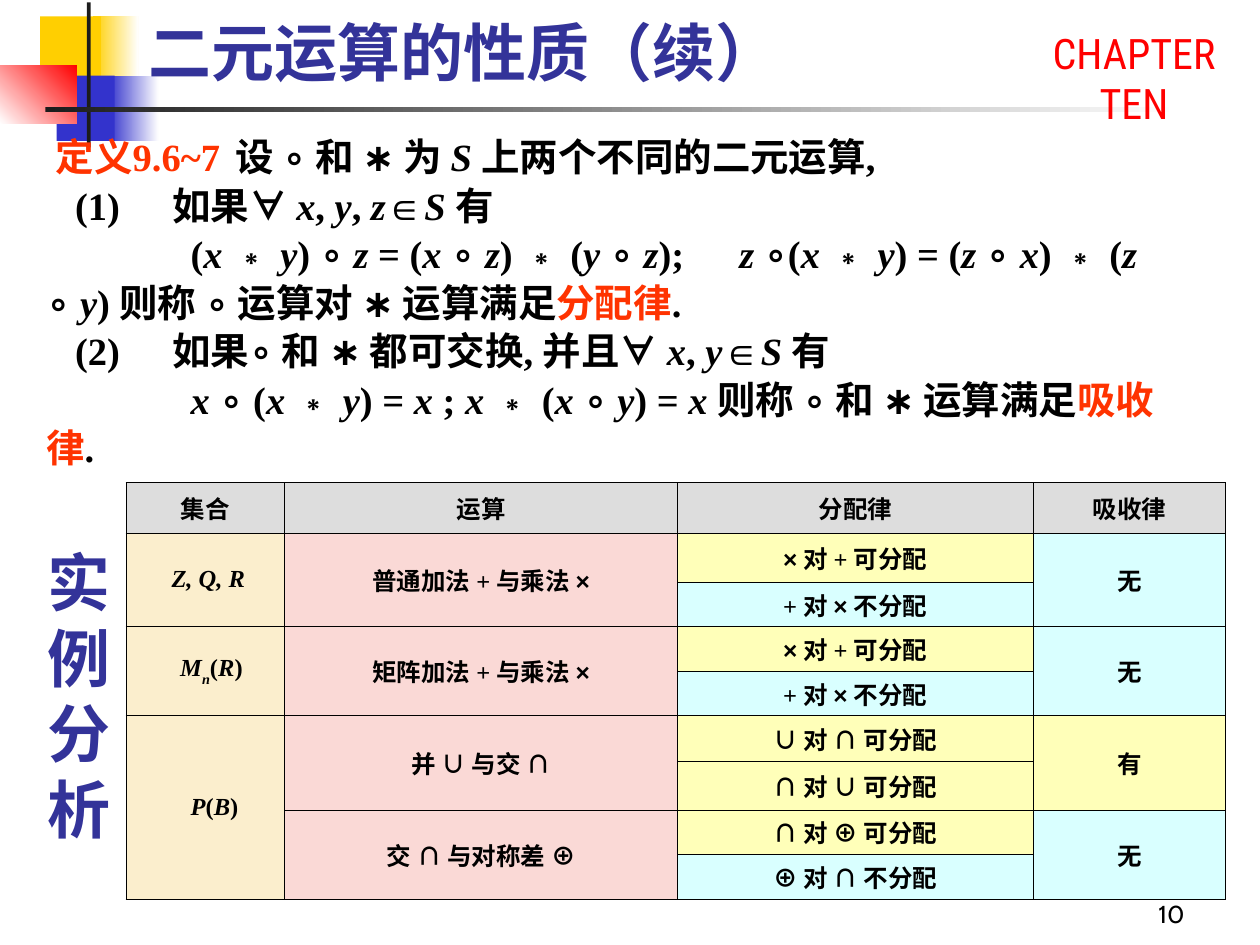
from dataclasses import dataclass
from itertools import groupby
from typing import Iterator, NamedTuple

import pptx
import pptx.dml.color
import pptx.enum.shapes
import pptx.enum.text
import pptx.oxml
import pptx.oxml.ns
import pptx.util

Pt = pptx.util.Pt
Align = pptx.enum.text.PP_ALIGN
Anchor = pptx.enum.text.MSO_ANCHOR
NS = pptx.oxml.ns.nsdecls("a")


@dataclass(frozen=True)
class Theme:
    black: str = "000000"
    white: str = "FFFFFF"
    dark: str = "1C1C1C"
    gold: str = "FFCF01"
    blue: str = "3333CC"
    red: str = "FF0000"
    title: str = "333399"
    term: str = "FF3300"
    head: str = "DDDDDD"
    sand: str = "FBEECD"
    pink: str = "FAD9D6"
    yes: str = "FFFFB9"
    no: str = "D9FFFF"
    serif: str = "Times New Roman"
    symbol: str = "Arial"
    display: str = "Montserrat"
    big: float = 36
    label: float = 24
    body: float = 22
    small: float = 14


T = Theme()


class Box(NamedTuple):
    left: float
    top: float
    width: float
    height: float


class Block(NamedTuple):
    box: Box
    start: str
    end: str = ""
    angle: float = 0


class Line(NamedTuple):
    text: str
    indent: float
    tab: float = 0


class Entry(NamedTuple):
    row: int
    col: int
    text: str
    fill: str
    span: int = 1
    shift: float = 0


class Style(NamedTuple):
    italic: bool
    term: bool
    sub: bool
    symbol: bool


BLOCKS = [
    Block(Box(53.3, 9.4, 25.9, 37.4), T.gold, T.white),
    Block(Box(61.9, 43.2, 28.8, 37.4), T.blue, T.white),
    Block(Box(23, 9.4, 34.6, 37.4), T.gold),
    Block(Box(32.4, 43.2, 33.1, 37.4), T.blue),
    Block(Box(0, 37.4, 43.9, 33.1), T.white, T.red, 45),
    Block(Box(49.7, 1.4, 2.2, 82.8), T.dark),
    Block(Box(25.9, 61.2, 648, 2.9), T.dark, T.white),
]

# Marks: _italic_, [defined term], ^subscript^
LINES = [
    Line("[定义9.6~7]\t设 ∘ 和 ∗ 为 _S _上两个不同的二元运算,", 5.5, 120.5),
    Line("(1)\t如果∀ _x_, _y_, _z_∈_S _有", 16.5, 59),
    Line("(_x _∗ _y_) ∘ _z _= (_x _∘ _z_) ∗ (_y _∘ _z_);\t_z _∘(_x _∗ _y_) = "
         "(_z _∘ _x_) ∗ (_z _∘ _y_) 则称 ∘ 运算对 ∗ 运算满足[分配律].", 82.5, 392),
    Line("(2)\t如果∘ 和 ∗ 都可交换, 并且∀ _x_, _y_∈_S _有", 16.5, 59),
    Line("_x _∘ (_x _∗ _y_) = _x _; _x _∗ (_x _∘ _y_) = _x _"
         "则称 ∘ 和 ∗ 运算满足[吸收律].", 82.5),
]

COLS = [90.7, 224.6, 203, 110.2]
ROWS = [28.8, 28.1, 25.2, 25.9, 25.2, 25.9, 28.1, 25.2, 25.9]
HEADS = ["集合", "运算", "分配律", "吸收律"]
SETS = [
    Entry(1, 0, "_Z, Q, R_", T.sand, 2, 3.5),
    Entry(3, 0, "_M_^n^(_R_)", T.sand, 2, 7),
    Entry(5, 0, "_P_(_B_)", T.sand, 4, 10.5),
]
PAIRS = [
    ("普通加法 + 与乘法 ×", "无"),
    ("矩阵加法 + 与乘法 ×", "无"),
    ("并 ∪ 与交 ∩", "有"),
    ("交 ∩ 与对称差 ⊕", "无"),
]
LAWS = [
    "× 对 + 可分配", "+ 对 × 不分配", "× 对 + 可分配", "+ 对 × 不分配",
    "∪ 对 ∩ 可分配", "∩ 对 ∪ 可分配", "∩ 对 ⊕ 可分配", "⊕ 对 ∩ 不分配",
]


def color(code: str) -> pptx.dml.color.RGBColor:
    return pptx.dml.color.RGBColor.from_string(code)


def scan(text: str) -> Iterator[tuple[Style, str]]:
    """Yield each shown letter with the style its marks give it."""
    italic = term = sub = False
    for char in text:
        if char == "_":
            italic = not italic
        elif char == "^":
            sub = not sub
            italic = sub
        elif char in "[]":
            term = char == "["
        else:
            yield Style(italic, term, sub, char in "∘∀×∪∩⊕"), char


def write(para, text: str, size: float, face: str = T.serif,
          ink: str = T.black, bold: bool = True) -> None:
    font = para.font
    font.size, font.name, font.bold = Pt(size), face, bold
    font.color.rgb = color(ink)
    for style, group in groupby(scan(text), key=lambda pair: pair[0]):
        run = para.add_run()
        run.text = "".join(char for _, char in group)
        if style.italic:
            run.font.italic = True
        if style.term:
            run.font.color.rgb = color(T.term)
        if style.symbol:
            run.font.name = T.symbol
        if style.sub:
            run._r.get_or_add_rPr().set("baseline", "-30000")


def add_block(slide, block: Block) -> None:
    shape = slide.shapes.add_shape(
        pptx.enum.shapes.MSO_SHAPE.RECTANGLE, *map(Pt, block.box))
    shape.shadow.inherit = False
    shape.line.fill.background()
    if block.end:
        shape.fill.gradient()
        shape.fill.gradient_angle = block.angle
        for stop, code in zip(shape.fill.gradient_stops, (block.start, block.end)):
            stop.color.rgb = color(code)
    else:
        shape.fill.solid()
        shape.fill.fore_color.rgb = color(block.start)


def add_frame(slide, box: Box, anchor=Anchor.TOP):
    frame = slide.shapes.add_textbox(*map(Pt, box)).text_frame
    frame.word_wrap = True
    frame.vertical_anchor = anchor
    return frame


def add_lines(slide, box: Box, lines: list[Line]) -> None:
    frame = add_frame(slide, box)
    for index, line in enumerate(lines):
        para = frame.add_paragraph() if index else frame.paragraphs[0]
        props = para._p.get_or_add_pPr()
        props.set("indent", str(Pt(line.indent)))
        if line.tab:
            props.append(pptx.oxml.parse_xml(
                f'<a:tabLst {NS}><a:tab pos="{Pt(line.tab)}" algn="l"/></a:tabLst>'))
        para.line_spacing = 1.05
        write(para, line.text, T.body)


def paint(cell, fill: str) -> None:
    """Give a cell its borders, fill and tight margins."""
    props = cell._tc.get_or_add_tcPr()
    for side in "LRTB":
        props.append(pptx.oxml.parse_xml(
            f'<a:ln{side} {NS} w="{Pt(0.45)}"><a:solidFill>'
            f'<a:srgbClr val="{T.black}"/></a:solidFill></a:ln{side}>'))
    cell.fill.solid()
    cell.fill.fore_color.rgb = color(fill)
    cell.margin_top = cell.margin_bottom = 0
    cell.vertical_anchor = Anchor.MIDDLE


def add_grid(slide, box: Box, entries: list[Entry]) -> None:
    table = slide.shapes.add_table(len(ROWS), len(COLS), *map(Pt, box)).table
    table.first_row = table.horz_banding = False
    for col, width in zip(table.columns, COLS):
        col.width = Pt(width)
    for row, height in zip(table.rows, ROWS):
        row.height = Pt(height)
    for entry in entries:
        last = entry.row + entry.span - 1
        for row in range(entry.row, last + 1):
            paint(table.cell(row, entry.col), entry.fill)
        cell = table.cell(entry.row, entry.col)
        if entry.span > 1:
            cell.merge(table.cell(last, entry.col))
        cell.margin_left = Pt(7.2 + entry.shift)
        para = cell.text_frame.paragraphs[0]
        para.alignment = Align.CENTER
        write(para, entry.text, T.small)


def list_cells() -> list[Entry]:
    cells = [Entry(0, col, text, T.head) for col, text in enumerate(HEADS)] + SETS
    for index, (pair, absorb) in enumerate(PAIRS):
        row = 1 + 2 * index
        cells.append(Entry(row, 1, pair, T.pink, 2))
        cells.append(Entry(row, 3, absorb, T.yes if absorb == "有" else T.no, 2))
    for row, law in enumerate(LAWS, 1):
        cells.append(Entry(row, 2, law, T.no if "不" in law else T.yes))
    return cells


def main() -> None:
    deck = pptx.Presentation()
    deck.slide_width, deck.slide_height = Pt(720), Pt(540)
    slide = deck.slides.add_slide(deck.slide_layouts[5])
    for block in BLOCKS:
        add_block(slide, block)

    title = slide.shapes.title
    title.element.getparent().append(title.element)  # in front of the blocks
    title.left, title.top, title.width, title.height = map(
        Pt, Box(77.8, 12.2, 613.4, 42.5))
    title.text_frame.vertical_anchor = Anchor.BOTTOM
    para = title.text_frame.paragraphs[0]
    para.alignment = Align.LEFT
    write(para, "二元运算的性质（续）", T.big, T.display, T.title)

    para = add_frame(slide, Box(576, 12.2, 144, 64.8)).paragraphs[0]
    para.alignment = Align.CENTER
    write(para, "CHAPTER TEN", T.label, "Roboto Condensed", T.red, False)
    para = add_frame(slide, Box(534.2, 498.2, 149.8, 36), Anchor.BOTTOM).paragraphs[0]
    para.alignment = Align.RIGHT
    write(para, "10", T.small, "Cabin", bold=False)

    add_lines(slide, Box(19.4, 71.3, 652.3, 201.6), LINES)
    add_grid(slide, Box(72, 275.8, sum(COLS), sum(ROWS)), list_cells())
    side = add_frame(slide, Box(20.2, 292.3, 56.9, 209.5), Anchor.MIDDLE)
    write(side.paragraphs[0], "实例分析", T.big, T.display, T.title)
    deck.save("out.pptx")


if __name__ == "__main__":
    main()
